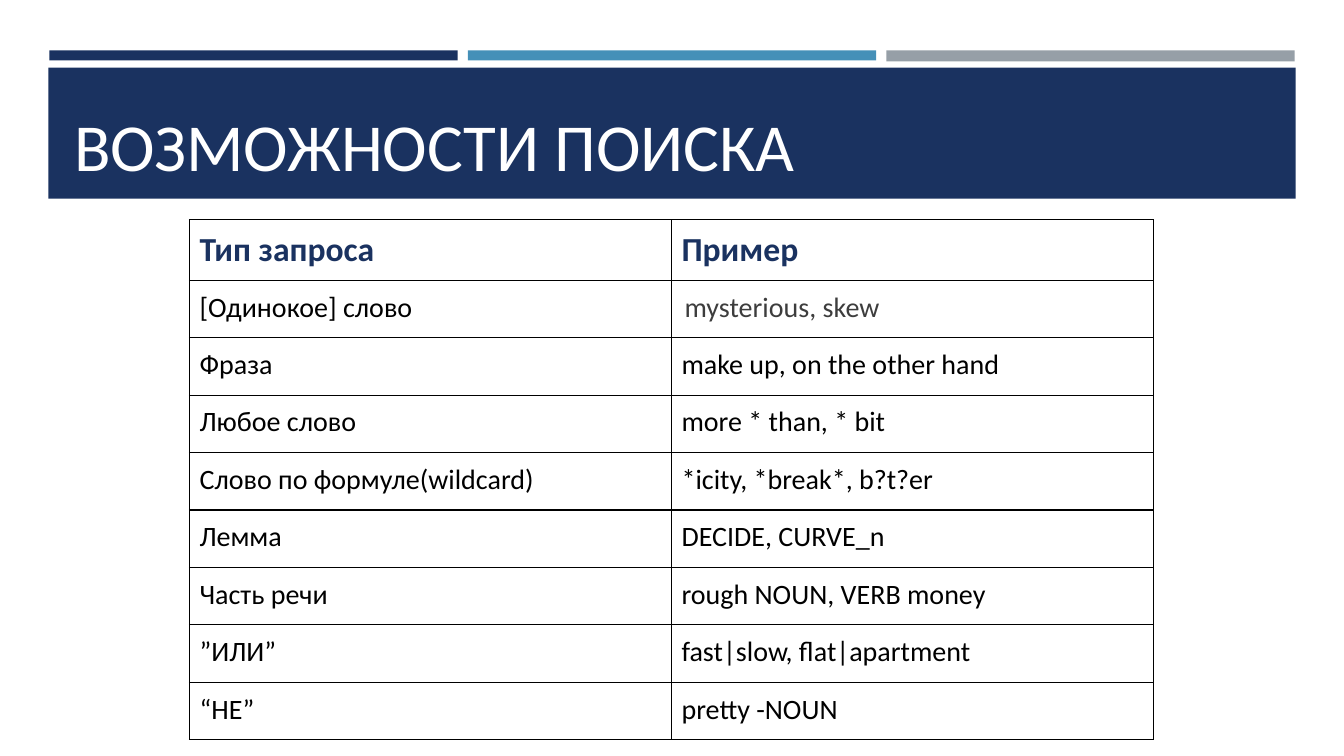
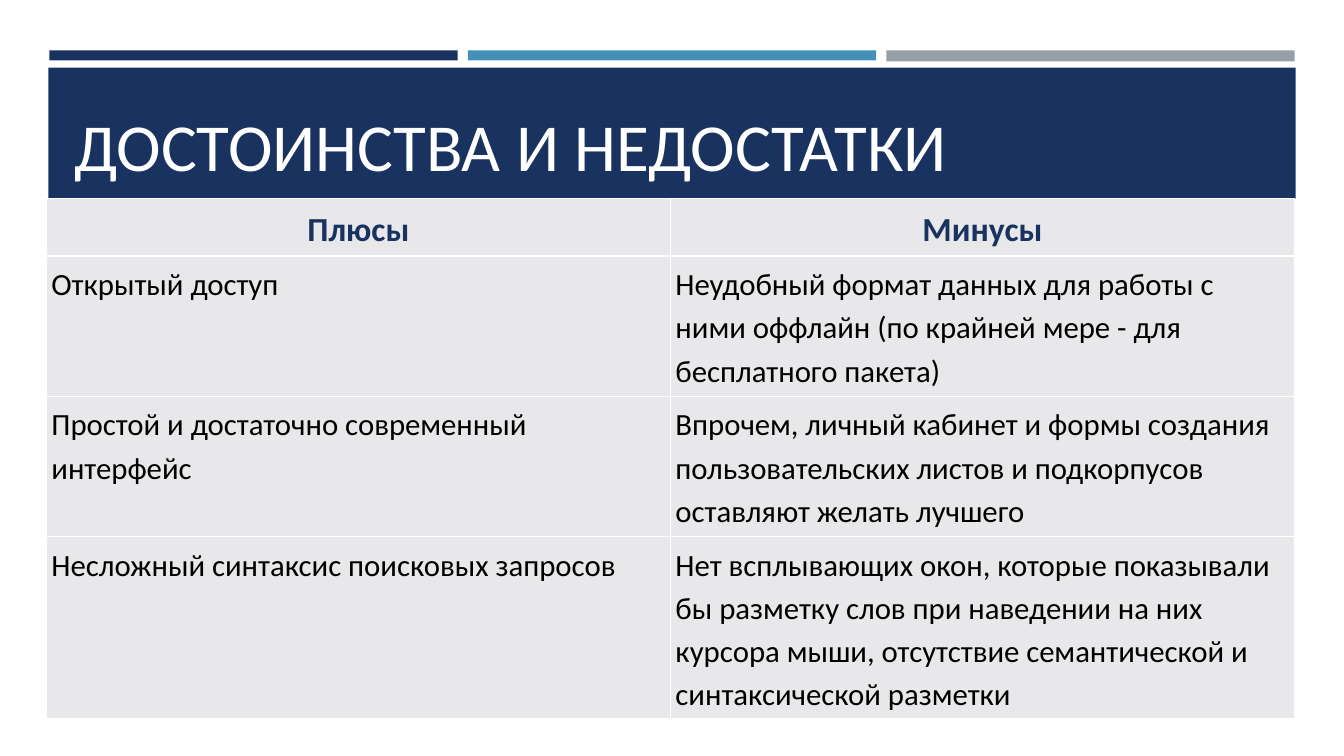
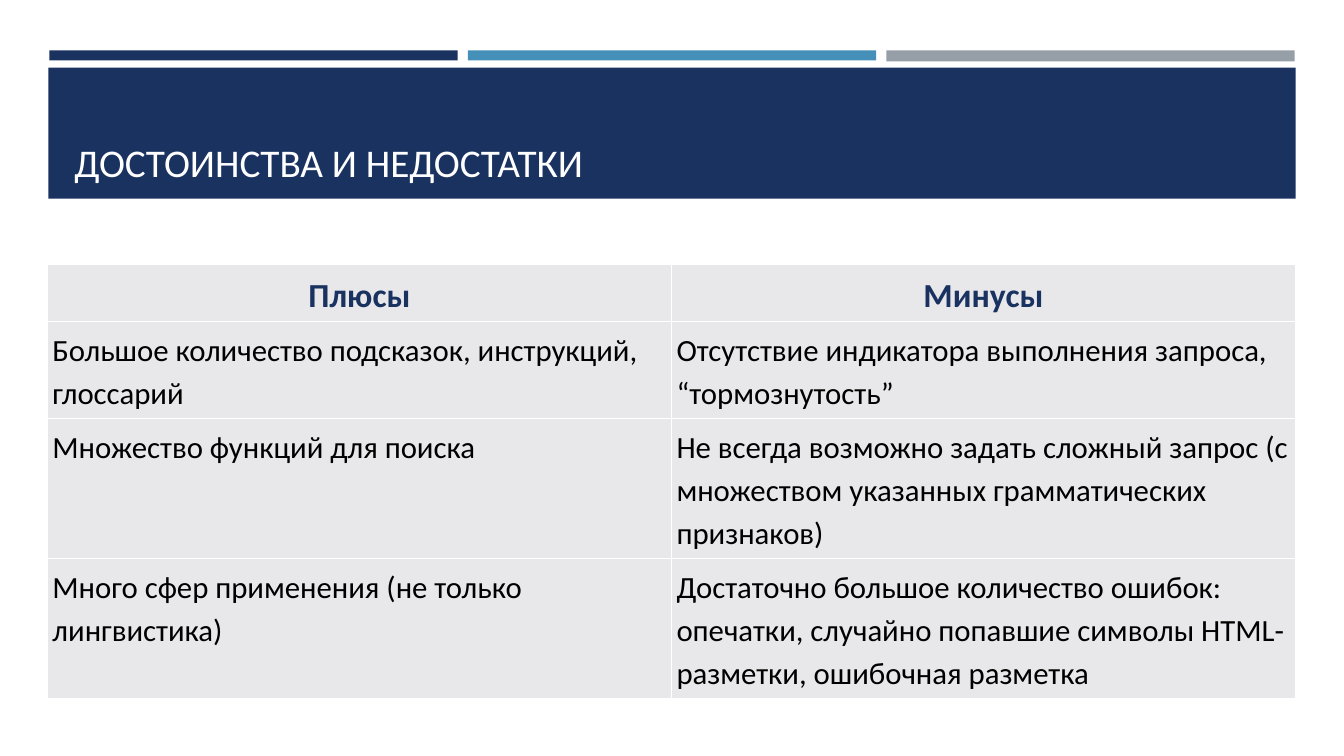
from lxml import etree
from pptx import Presentation
from pptx.dml.color import RGBColor
from pptx.enum import shapes, text
from pptx.oxml import ns
from pptx.util import Inches, Pt

NAVY = RGBColor(0x1A, 0x32, 0x60)
BLUE = RGBColor(0x45, 0x90, 0xB8)
GRAY = RGBColor(0x96, 0x9F, 0xA7)
PALE = RGBColor(0xE8, 0xE8, 0xEA)
DARK = RGBColor(0x3D, 0x3D, 0x3D)
WHITE = RGBColor(0xFF, 0xFF, 0xFF)
BLACK = RGBColor(0, 0, 0)
FONT = "Calibri"

BANDS = [
    (0.49, 0.5, 4.05, 0.1, NAVY),
    (4.64, 0.5, 4.05, 0.1, BLUE),
    (8.79, 0.5, 4.05, 0.11, GRAY),
    (0.48, 0.67, 12.37, 1.3, NAVY),
]

deck = Presentation()
deck.slide_width, deck.slide_height = Inches(13.33), Inches(7.5)


def start_slide(heading, size):
    slide = deck.slides.add_slide(deck.slide_layouts[6])
    for left, top, width, height, color in BANDS:
        band = slide.shapes.add_shape(
            shapes.MSO_SHAPE.RECTANGLE,
            Inches(left), Inches(top), Inches(width), Inches(height))
        band.shadow.inherit = False
        band.fill.solid()
        band.fill.fore_color.rgb = color
        band.line.fill.background()
    title = slide.shapes.add_textbox(Inches(0.64), Inches(0.77), Inches(12.06), Inches(1.11))
    frame = title.text_frame
    frame.word_wrap = True
    frame.vertical_anchor = text.MSO_ANCHOR.BOTTOM
    frame.margin_bottom = Inches(0.04)
    frame.text = heading
    font = frame.paragraphs[0].runs[0].font
    font.name, font.size, font.color.rgb = FONT, Pt(size), WHITE
    return slide


def add_grid(slide, left, top, column_width, heights, rows, inset, body_size,
             border, fill=None, spacing=None, header_align=None):
    grid = slide.shapes.add_table(
        len(rows), 2, Inches(left), Inches(top),
        Inches(2 * column_width), Inches(sum(heights))).table
    grid.first_row = grid.horz_banding = False
    for column in grid.columns:
        column.width = Inches(column_width)
    for r, (height, row) in enumerate(zip(heights, rows)):
        grid.rows[r].height = Inches(height)
        for c, wording in enumerate(row):
            cell = grid.cell(r, c)
            cell.margin_left = cell.margin_right = Inches(inset)
            cell.margin_top = cell.margin_bottom = Inches(inset)
            properties = cell._tc.get_or_add_tcPr()
            for side in ("lnL", "lnR", "lnT", "lnB"):
                edge = etree.SubElement(properties, ns.qn(f"a:{side}"), w=str(Pt(1)))
                paint = etree.SubElement(edge, ns.qn("a:solidFill"))
                etree.SubElement(paint, ns.qn("a:srgbClr"), val=str(border))
            if fill is None:
                cell.fill.background()
            else:
                cell.fill.solid()
                cell.fill.fore_color.rgb = fill
            cell.text_frame.text = wording
            paragraph = cell.text_frame.paragraphs[0]
            if spacing:
                paragraph.line_spacing = spacing
            if r == 0 and header_align is not None:
                paragraph.alignment = header_align
            font = paragraph.runs[0].font
            font.name = FONT
            font.bold = r == 0
            font.size = Pt(24 if r == 0 else body_size)
            font.color.rgb = NAVY if r == 0 else BLACK
    return grid


queries = [
    ("Тип запроса", "Пример"),
    ("[Одинокое] слово", "mysterious, skew"),
    ("Фраза", "make up, on the other hand"),
    ("Любое слово", "more * than, * bit"),
    ("Слово по формуле(wildcard)", "*icity, *break*, b?t?er"),
    ("Лемма", "DECIDE, CURVE_n"),
    ("Часть речи", "rough NOUN, VERB money"),
    ("”ИЛИ”", "fast|slow, flat|apartment"),
    ("“НЕ”", "pretty -NOUN"),
]
search = start_slide("ВОЗМОЖНОСТИ ПОИСКА", 48)
query_grid = add_grid(search, 1.88, 2.18, 4.78, [0.6] + [0.57] * 8, queries, 0.1, 20, BLACK)
single_word = query_grid.cell(1, 1)
single_word.margin_left = Inches(0.13)
single_word.text_frame.paragraphs[0].runs[0].font.color.rgb = DARK

comparisons = [
    (48, 0.46, 1.97, [0.57, 1.39, 1.39, 1.81], [
        ("Открытый доступ",
         "Неудобный формат данных для работы с ними оффлайн "
         "(по крайней мере - для бесплатного пакета)"),
        ("Простой и достаточно современный интерфейс",
         "Впрочем, личный кабинет и формы создания пользовательских листов "
         "и подкорпусов оставляют желать лучшего"),
        ("Несложный синтаксис поисковых запросов",
         "Нет всплывающих окон, которые показывали бы разметку слов при наведении "
         "на них курсора мыши, отсутствие семантической и синтаксической разметки"),
    ]),
    (28, 0.47, 2.62, [0.57, 0.96, 1.39, 1.39], [
        ("Большое количество подсказок, инструкций, глоссарий",
         "Отсутствие индикатора выполнения запроса, “тормознутость”"),
        ("Множество функций для поиска",
         "Не всегда возможно задать сложный запрос "
         "(с множеством указанных грамматических признаков)"),
        ("Много сфер применения (не только лингвистика)",
         "Достаточно большое количество ошибок: опечатки, случайно попавшие "
         "символы HTML-разметки, ошибочная разметка"),
    ]),
]
for title_size, left, top, heights, points in comparisons:
    comparison = start_slide("ДОСТОИНСТВА И НЕДОСТАТКИ", title_size)
    add_grid(comparison, left, top, 6.19, heights, [("Плюсы", "Минусы")] + points,
             0.05, 22, WHITE, PALE, 1.15, text.PP_ALIGN.CENTER)

deck.save("out.pptx")
